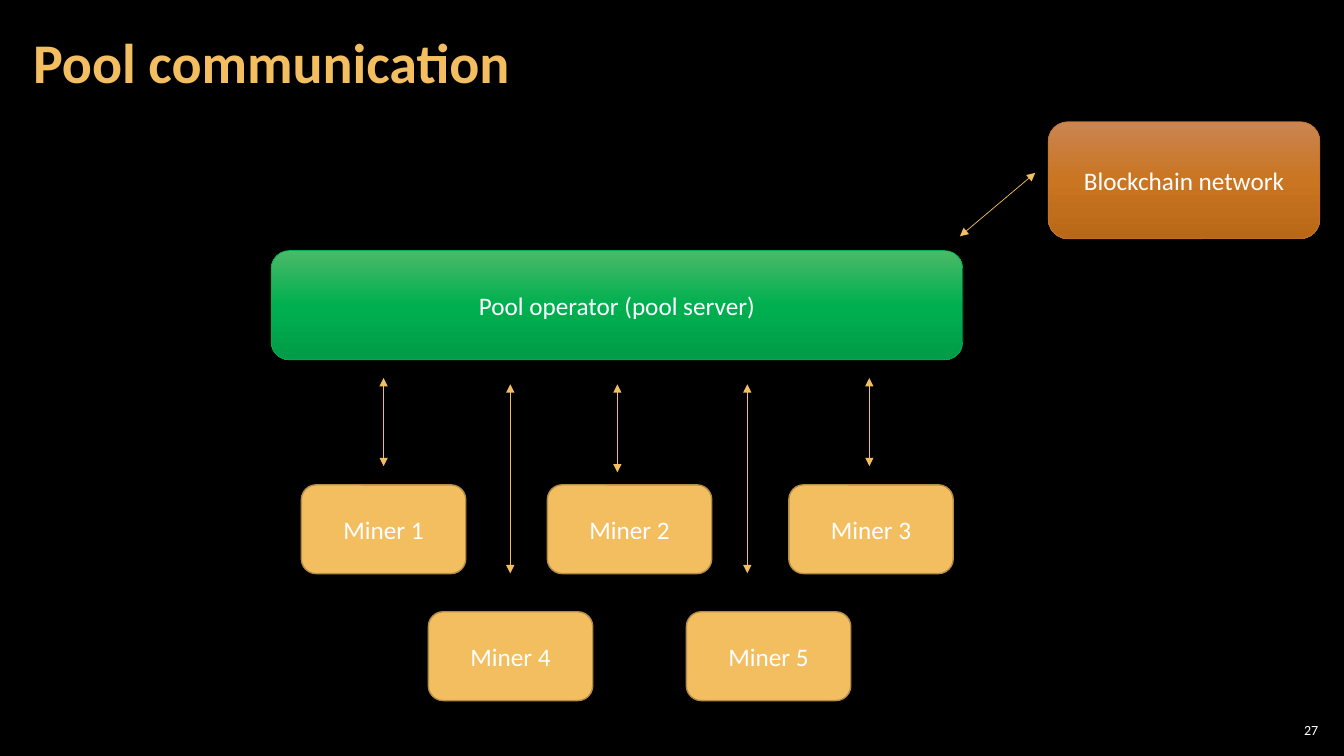
from copy import deepcopy

from lxml.etree import SubElement
from pptx import Presentation
from pptx.dml.color import RGBColor
from pptx.enum.shapes import MSO_CONNECTOR as CONN, MSO_SHAPE as SHAPE
from pptx.enum.text import MSO_ANCHOR as ANCHOR, PP_ALIGN as ALIGN
from pptx.oxml.ns import qn
from pptx.util import Pt

GOLD, WHITE = "F3BE60", "FFFFFF"


def rgb(value):
    return RGBColor.from_string(value)


def write(s, text, align, size=18, color=WHITE, bold=False):
    tf = s.text_frame
    tf.word_wrap = True
    tf.vertical_anchor = ANCHOR.MIDDLE
    p = tf.paragraphs[0]
    p.alignment = align
    r = p.add_run()
    r.text = text
    for name, value in {"name": "Calibri", "size": Pt(size), "bold": bold}.items():
        setattr(r.font, name, value)
    r.font.color.rgb = rgb(color)
    return tf


prs = Presentation()
prs.slide_width, prs.slide_height = Pt(960), Pt(540)
slide = prs.slides.add_slide(prs.slide_layouts[6])
slide.background.fill.solid()
slide.background.fill.fore_color.rgb = rgb("000000")

# Title and slide number
title = slide.shapes.add_textbox(Pt(15), Pt(3), Pt(754), Pt(87))
tf = write(title, "Pool communication", ALIGN.LEFT, 40, GOLD, True)
tf.margin_left = tf.margin_right = Pt(8.64)
tf.margin_top = tf.margin_bottom = Pt(3)
tf.paragraphs[0].line_spacing = 0.9

number = slide.shapes.add_textbox(Pt(910.8), Pt(514), Pt(33.8), Pt(15))
tf = write(number, "27", ALIGN.RIGHT, 10)
for side in ("left", "right", "top", "bottom"):
    setattr(tf, f"margin_{side}", Pt(3))

# Boxes: text, left, top, width, height, fill colours, line colour, line width
miner_spots = [(215.3, 346.3), (391, 346.3), (563.5, 346.3), (306, 437), (490.3, 437)]
boxes = [
    ("Pool operator (pool server)", 193.7, 179, 494, 78,
     ["4BB968", "00B050", "009C47"], "00B050", 0.5),
    ("Blockchain network", 748.8, 87, 194, 83.5,
     ["CB8552", "C97521", "B96817"], "C17529", 0.5),
]
for i, (left, top) in enumerate(miner_spots, 1):
    boxes.append((f"Miner {i}", left, top, 117.4, 63.4, [GOLD], "B48D47", 1))

for text, left, top, width, height, colors, line, weight in boxes:
    s = slide.shapes.add_shape(SHAPE.ROUNDED_RECTANGLE,
                               Pt(left), Pt(top), Pt(width), Pt(height))
    s.shadow.inherit = False
    if len(colors) == 1:
        s.fill.solid()
        s.fill.fore_color.rgb = rgb(colors[0])
    else:
        s.fill.gradient()
        s.fill.gradient_angle = 270
        stops = next(s.element.iter(qn("a:gsLst")))
        stops.append(deepcopy(stops[-1]))
        for i, (stop, color) in enumerate(zip(s.fill.gradient_stops, colors)):
            stop.position = i / 2
            stop.color.rgb = rgb(color)
    s.line.color.rgb = rgb(line)
    s.line.width = Pt(weight)
    write(s, text, ALIGN.CENTER)

# Two-way arrows: start x, start y, end x, end y
arrows = [
    (274, 333, 274, 270),
    (364.5, 409.5, 364.5, 274.5),
    (441, 337.5, 441, 274.5),
    (533.8, 409.5, 533.8, 274.5),
    (621, 333, 621, 270),
    (685.7, 168.8, 739.5, 123.5),
]
for ends in arrows:
    arrow = slide.shapes.add_connector(CONN.STRAIGHT, *map(Pt, ends))
    arrow.line.color.rgb = rgb(GOLD)
    arrow.line.width = Pt(0.5)
    ln = arrow.line._get_or_add_ln()
    for tag in ("a:headEnd", "a:tailEnd"):
        SubElement(ln, qn(tag), type="triangle")
    SubElement(arrow.element.spPr, qn("a:effectLst"))

prs.save("out.pptx")
